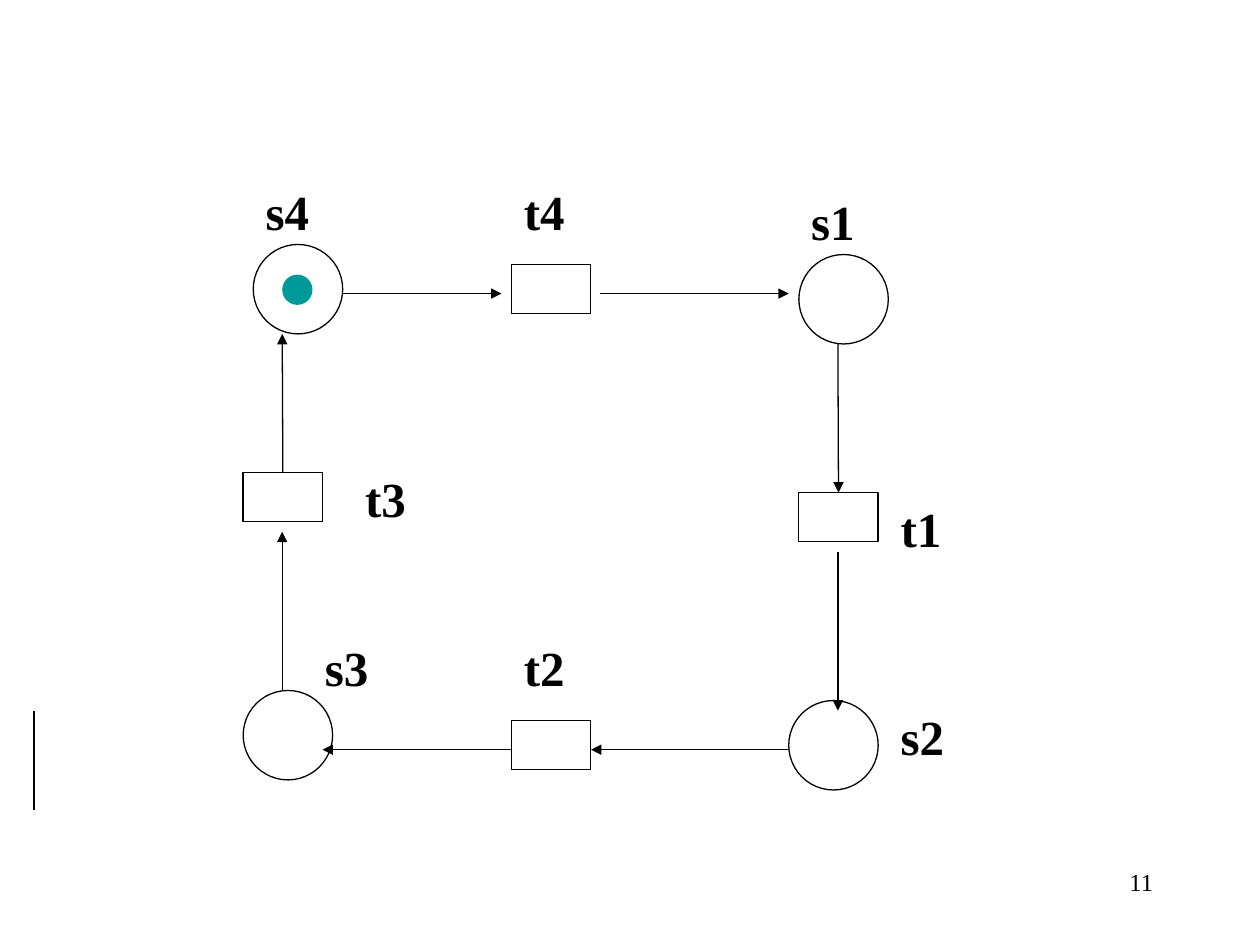
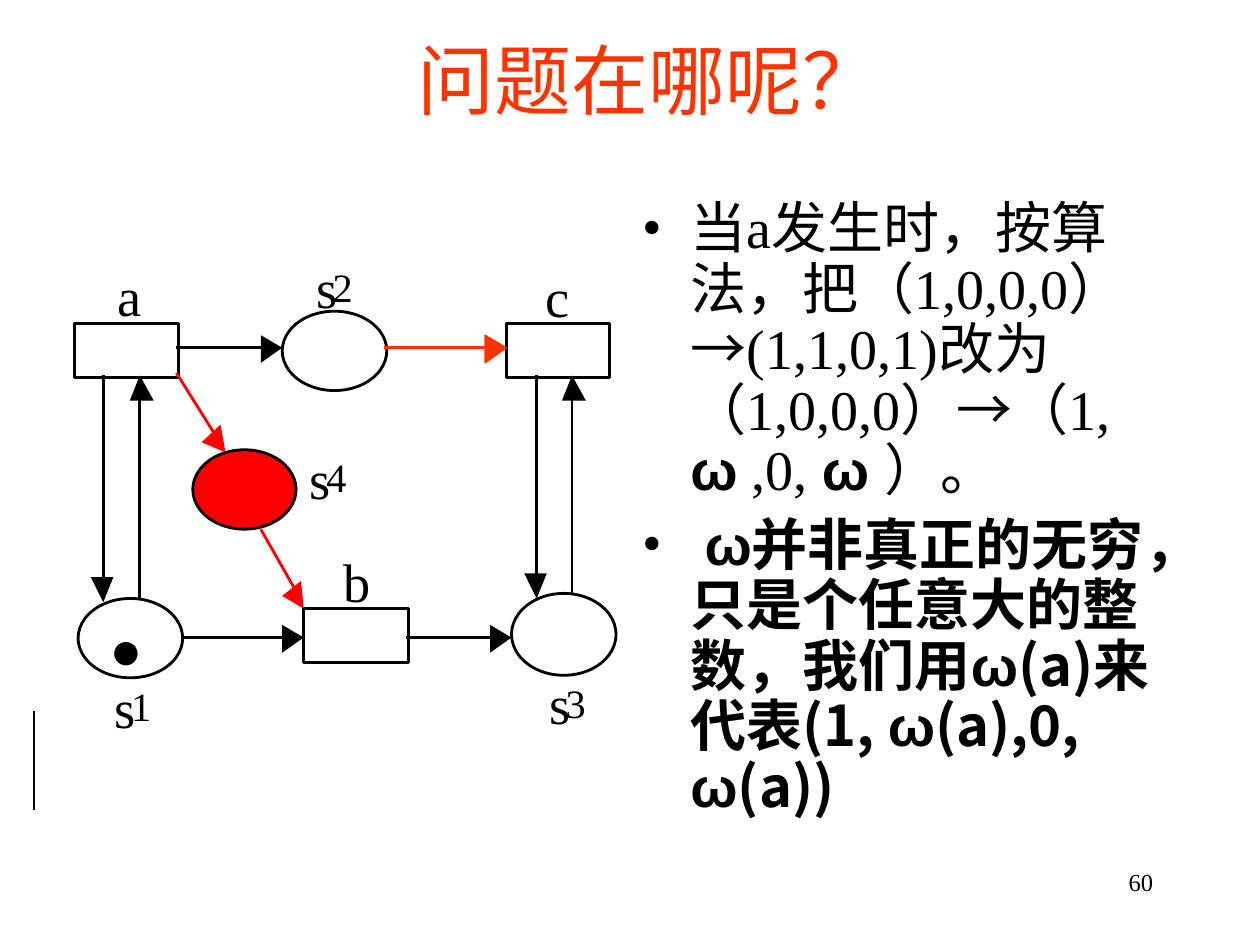
from lxml import etree
from pptx import Presentation
from pptx.dml.color import RGBColor
from pptx.enum.shapes import MSO_CONNECTOR as LINE, MSO_SHAPE as SHAPE
from pptx.enum.text import MSO_ANCHOR as ANCHOR, MSO_AUTO_SIZE as FIT, PP_ALIGN as ALIGN
from pptx.oxml.ns import qn
from pptx.util import Pt

PX = 9144
BLACK, WHITE, RED, ORANGE, TEAL = "000000", "FFFFFF", "FF0000", "FF3300", "009999"
SERIF, SANS, CJK = "Times New Roman", "Arial", "Noto Sans CJK SC"


def paint(shape, fill=None, line=None, width=0.75):
    if hasattr(shape, "fill"):
        shape.shadow.inherit = False
        if fill:
            shape.fill.solid()
            shape.fill.fore_color.rgb = RGBColor.from_string(fill)
        else:
            shape.fill.background()
    if line:
        shape.line.color.rgb = RGBColor.from_string(line)
        shape.line.width = Pt(width)
    else:
        shape.line.fill.background()
    if not hasattr(shape, "fill"):
        etree.SubElement(shape.element.spPr, qn("a:effectLst"))


def write(para, text, size, font=SERIF, color=BLACK, bold=False):
    span = para.add_run()
    span.text = text
    span.font.size = Pt(size)
    span.font.name = font
    span.font.bold = bold
    span.font.color.rgb = RGBColor.from_string(color)
    etree.SubElement(span.font._element, qn("a:ea")).set("typeface", CJK)


deck = Presentation()
deck.slide_width, deck.slide_height = 1000 * PX, 750 * PX
cycle_page = deck.slides.add_slide(deck.slide_layouts[6])
problem_page = deck.slides.add_slide(deck.slide_layouts[1])

side_rule = cycle_page.shapes.add_connector(LINE.STRAIGHT, 27 * PX, 564 * PX, 27 * PX, 643 * PX)
paint(side_rule, line=BLACK, width=1)
deck.slide_master.shapes.element.append(side_rule.element)

for page, number in ((cycle_page, "11"), (problem_page, "60")):
    box = page.shapes.add_textbox(717 * PX, 683 * PX, 208 * PX, 50 * PX)
    box.text_frame.word_wrap = True
    para = box.text_frame.paragraphs[0]
    para.alignment = ALIGN.RIGHT
    write(para, number, 14)

for x, y in ((201, 194), (634, 202), (626, 556), (193, 548)):
    place = cycle_page.shapes.add_shape(SHAPE.OVAL, x * PX, y * PX, 71 * PX, 71 * PX)
    paint(place, line=BLACK)
token = cycle_page.shapes.add_shape(SHAPE.OVAL, 224 * PX, 218 * PX, 24 * PX, 24 * PX)
paint(token, fill=TEAL)

transitions = {}
for name, x, y in (("t4", 406, 210), ("t1", 634, 391), ("t2", 406, 572), ("t3", 193, 375)):
    box = cycle_page.shapes.add_shape(SHAPE.RECTANGLE, x * PX, y * PX, 63 * PX, 39 * PX)
    paint(box, WHITE, BLACK)
    transitions[name] = box

cycle_arrows = (
    (272, 233, 398, 233, None, None),
    (476, 233, 626, 233, None, None),
    (665, 273, 665, 391, None, "t1"),
    (665, 438, 665, 564, None, None),
    (626, 595, 469, 595, None, None),
    (406, 595, 256, 595, None, None),
    (224, 548, 224, 422, None, None),
    (224, 375, 224, 265, "t3", None),
)
for x1, y1, x2, y2, source, target in cycle_arrows:
    arrow = cycle_page.shapes.add_connector(LINE.STRAIGHT, x1 * PX, y1 * PX, x2 * PX, y2 * PX)
    if source:
        arrow.begin_connect(transitions[source], 0)
    if target:
        arrow.end_connect(transitions[target], 0)
    paint(arrow, line=BLACK)
    etree.SubElement(arrow.line._get_or_add_ln(), qn("a:tailEnd")).set("type", "triangle")

cycle_labels = (
    ("s4", 201, 139), ("t4", 406, 139), ("s1", 634, 147), ("t1", 705, 391),
    ("s2", 705, 556), ("t2", 406, 501), ("s3", 248, 501), ("t3", 280, 367),
)
for text, x, y in cycle_labels:
    box = cycle_page.shapes.add_textbox(x * PX, y * PX, 63 * PX, 67 * PX)
    box.text_frame.word_wrap = True
    write(box.text_frame.paragraphs[0], text, 28, bold=True)

title = problem_page.shapes.title
title.left, title.top, title.width, title.height = 90 * PX, 0, 850 * PX, 125 * PX
title.text_frame.vertical_anchor = ANCHOR.MIDDLE
title.text_frame.auto_size = FIT.NONE
title.text_frame.paragraphs[0].alignment = ALIGN.CENTER
write(title.text_frame.paragraphs[0], "问题在哪呢？", 44, color=ORANGE)

body = problem_page.placeholders[1]
body.left, body.top, body.width, body.height = 500 * PX, 154 * PX, 425 * PX, 551 * PX
body.text_frame.auto_size = FIT.NONE
bullets = (
    (("当a发生时，按算法，把（1,0,0,0）", SERIF, False), ("→", SANS, False),
     ("(1,1,0,1)改为（1,0,0,0）", SERIF, False), ("→", SANS, False),
     ("（1, ", SERIF, False), ("ω", SANS, True), (" ,0, ", SERIF, False),
     ("ω ", SANS, True), ("）。", SERIF, False)),
    ((" ", SERIF, False), ("ω", SANS, True),
     ("并非真正的无穷，只是个任意大的整数，我们用", CJK, True), ("ω", SANS, True),
     ("(a)来代表(1, ", CJK, True), ("ω", SANS, True), ("(a),0, ", CJK, True),
     ("ω", SANS, True), ("(a))", CJK, True)),
)
for index, spans in enumerate(bullets):
    para = body.text_frame.add_paragraph() if index else body.text_frame.paragraphs[0]
    props = para._p.get_or_add_pPr()
    props.set("marL", str(38 * PX))
    props.set("indent", str(-38 * PX))
    bullet_color = etree.SubElement(props, qn("a:buClr"))
    etree.SubElement(bullet_color, qn("a:srgbClr")).set("val", BLACK)
    etree.SubElement(props, qn("a:buFont")).set("typeface", SERIF)
    etree.SubElement(props, qn("a:buChar")).set("char", "•")
    para.line_spacing = 0.9
    para.space_before = Pt(8 if index else 0)
    for text, font, bold in spans:
        write(para, text, 32, font, bold=bold)

net = problem_page.shapes.add_group_shape().shapes
net_nodes = (
    (SHAPE.RECTANGLE, 59, 257, 83, 43, WHITE),
    (SHAPE.RECTANGLE, 402, 257, 82, 43, WHITE),
    (SHAPE.RECTANGLE, 241, 483, 83, 43, WHITE),
    (SHAPE.OVAL, 62, 475, 83, 63, WHITE),
    (SHAPE.OVAL, 224, 247, 83, 63, WHITE),
    (SHAPE.OVAL, 406, 471, 83, 65, WHITE),
    (SHAPE.OVAL, 153, 357, 82, 63, RED),
)
for preset, x, y, width, height, fill in net_nodes:
    paint(net.add_shape(preset, x * PX, y * PX, width * PX, height * PX), fill, BLACK, 1.62)

heads = {
    "right": ((-14, 0), (-17, 12), (-17, -10)),
    "down": ((0, -16), (-10, -20), (8, -20)),
    "up": ((0, 16), (11, 20), (-8, 20)),
    "to s4": ((-7, -12), (-19, -8), (-4, -22)),
    "to b": ((-5, -12), (-17, -10), (-2, -22)),
}
net_arrows = (
    ("right", 140, 276, 224, 276, BLACK),
    ("right", 305, 276, 402, 276, ORANGE),
    ("down", 426, 298, 426, 475, BLACK),
    ("up", 454, 471, 454, 298, BLACK),
    ("right", 145, 506, 241, 506, BLACK),
    ("right", 322, 506, 406, 506, BLACK),
    ("down", 82, 298, 82, 478, BLACK),
    ("up", 111, 475, 111, 298, BLACK),
    ("to s4", 140, 296, 179, 359, RED),
    ("to b", 207, 420, 241, 483, RED),
)
for direction, x1, y1, x2, y2, color in net_arrows:
    neck, *corners = [(x2 + dx, y2 + dy) for dx, dy in heads[direction]]
    shaft = net.add_connector(LINE.STRAIGHT, x1 * PX, y1 * PX, neck[0] * PX, neck[1] * PX)
    paint(shaft, line=color, width=1.62)
    outline = net.build_freeform(x2, y2, scale=PX)
    outline.add_line_segments(corners, close=True)
    paint(outline.convert_to_shape(), color, ORANGE if color == ORANGE else None)

net_labels = [
    ("a", 93, 208, 19, 52, 31, SERIF),
    ("b", 273, 435, 22, 52, 31, SERIF),
    ("c", 433, 209, 19, 52, 31, SERIF),
    ("●", 87, 488, 43, 52, 31, SANS),
]
for digit, x, y in (("2", 251, 202), ("1", 91, 535), ("3", 436, 532), ("4", 246, 353)):
    net_labels.append(("s", x, y, 17, 52, 31, SERIF))
    net_labels.append((digit, x + 13, y + 6, 16, 38, 23, SERIF))
for text, x, y, width, height, size, font in net_labels:
    box = net.add_textbox(x * PX, y * PX, width * PX, height * PX)
    frame = box.text_frame
    frame.margin_left = frame.margin_top = frame.margin_right = frame.margin_bottom = 0
    frame.word_wrap = False
    frame.auto_size = FIT.SHAPE_TO_FIT_TEXT
    write(frame.paragraphs[0], text, size, font)

deck.save("out.pptx")
